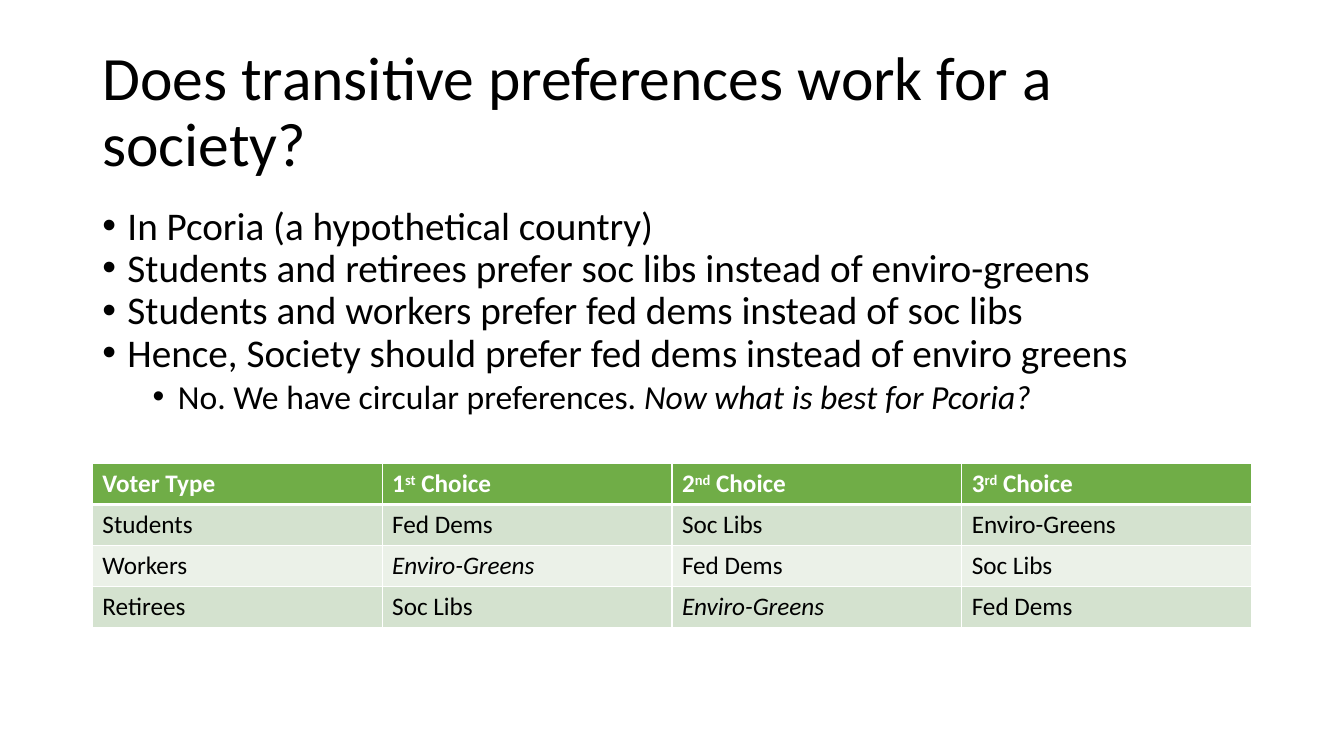
import lxml.etree
import pptx
import pptx.dml.color
import pptx.enum.text
import pptx.oxml.ns
import pptx.util

Pt = pptx.util.Pt
qn = pptx.oxml.ns.qn
ANCHOR = pptx.enum.text.MSO_ANCHOR


def color(value):
    """Turn a hex string into a colour."""
    return pptx.dml.color.RGBColor.from_string(value)


def add_color(parent, tag, value):
    """Append an XML element that holds a hex colour."""
    holder = lxml.etree.SubElement(parent, qn(tag))
    lxml.etree.SubElement(holder, qn("a:srgbClr")).set("val", value)


class Deck:
    """Hold the style and the current slide."""

    font = "Calibri"
    ink = "000000"
    paper = "FFFFFF"
    header = "70AD47"
    bands = ("D4E2CF", "EBF1E8")

    def __init__(self, width, height):
        """Open a presentation with one blank slide."""
        self.file = pptx.Presentation()
        self.file.slide_width, self.file.slide_height = Pt(width), Pt(height)
        self.slide = self.file.slides.add_slide(self.file.slide_layouts[6])

    def add_runs(self, paragraph, pieces, ink=ink, **base):
        """Add (text, format) pieces to a paragraph."""
        for words, extra in pieces:
            run = paragraph.add_run()
            run.text = words
            look = {"name": self.font, **base, **extra}
            raised = look.pop("raised", False)
            for key, value in look.items():
                setattr(run.font, key, value)
            run.font.color.rgb = color(ink)
            if raised:
                run._r.get_or_add_rPr().set("baseline", "30000")

    def text(self, box, lines, anchor=ANCHOR.TOP):
        """Add a text box of (pieces, size, line spacing, bullet level) lines."""
        frame = self.slide.shapes.add_textbox(*map(Pt, box)).text_frame
        frame.word_wrap, frame.vertical_anchor = True, anchor
        for number, (pieces, size, spacing, level) in enumerate(lines):
            paragraph = frame.add_paragraph() if number else frame.paragraphs[0]
            paragraph.line_spacing = spacing
            if level is not None:
                self.bullet(paragraph, level)
            self.add_runs(paragraph, pieces, size=Pt(size))

    def bullet(self, paragraph, level):
        """Give a paragraph a hanging bullet."""
        paragraph.level = level
        props = paragraph._p.get_or_add_pPr()
        props.set("marL", str(Pt(18 + 36 * level)))
        props.set("indent", str(Pt(-18)))
        add_color(props, "a:buClr", self.ink)
        lxml.etree.SubElement(props, qn("a:buFont")).set("typeface", "Arial")
        lxml.etree.SubElement(props, qn("a:buChar")).set("char", "•")

    def border(self, cell, widths):
        """Draw the left, right, top and bottom cell borders."""
        props = cell._tc.get_or_add_tcPr()
        for side, width in zip("LRTB", widths):
            line = lxml.etree.SubElement(props, qn(f"a:ln{side}"))
            line.set("w", str(Pt(width)))
            add_color(line, "a:solidFill", self.paper)

    def table(self, box, rows):
        """Add a banded table with a header row."""
        grid = self.slide.shapes.add_table(len(rows), len(rows[0]), *map(Pt, box)).table
        for r, row in enumerate(rows):
            for c, pieces in enumerate(row):
                cell = grid.cell(r, c)
                self.border(cell, (0.96, 0.96, 3 if r == 1 else 0.96, 0.96 if r else 3))
                cell.fill.solid()
                cell.fill.fore_color.rgb = color(self.bands[(r - 1) % 2] if r else self.header)
                self.add_runs(cell.text_frame.paragraphs[0], pieces,
                              self.ink if r else self.paper, size=Pt(18), bold=r == 0)


def plain(words):
    """Make one piece of unmarked text."""
    return [(words, {})]


def italic(words):
    """Make one piece of italic text."""
    return [(words, {"italic": True})]


def choice(rank, suffix):
    """Make a header with a raised ordinal."""
    return [(rank, {}), (suffix, {"raised": True}), (" Choice", {})]


deck = Deck(960, 540)
deck.text((66, 28.75, 828, 104.4),
          [(plain("Does transitive preferences work for a society?"), 44, 0.9, None)],
          ANCHOR.MIDDLE)

claims = ["In Pcoria (a hypothetical country)",
          "Students and retirees prefer soc libs instead of enviro-greens",
          "Students and workers prefer fed dems instead of soc libs",
          "Hence, Society should prefer fed dems instead of enviro greens"]
answer = plain("No. We have circular preferences. ") + italic("Now what is best for Pcoria?")
deck.text((66, 143.75, 828, 342.6),
          [(plain(claim), 28, 0.9, 0) for claim in claims] + [(answer, 24, 1.0, 1)])

fed, soc, green = "Fed Dems", "Soc Libs", "Enviro-Greens"
deck.table((66, 331.2, 828, 116.8), [
    [plain("Voter Type"), choice("1", "st"), choice("2", "nd"), choice("3", "rd")],
    [plain("Students"), plain(fed), plain(soc), plain(green)],
    [plain("Workers"), italic(green), plain(fed), plain(soc)],
    [plain("Retirees"), plain(soc), italic(green), plain(fed)],
])
deck.file.save("out.pptx")
